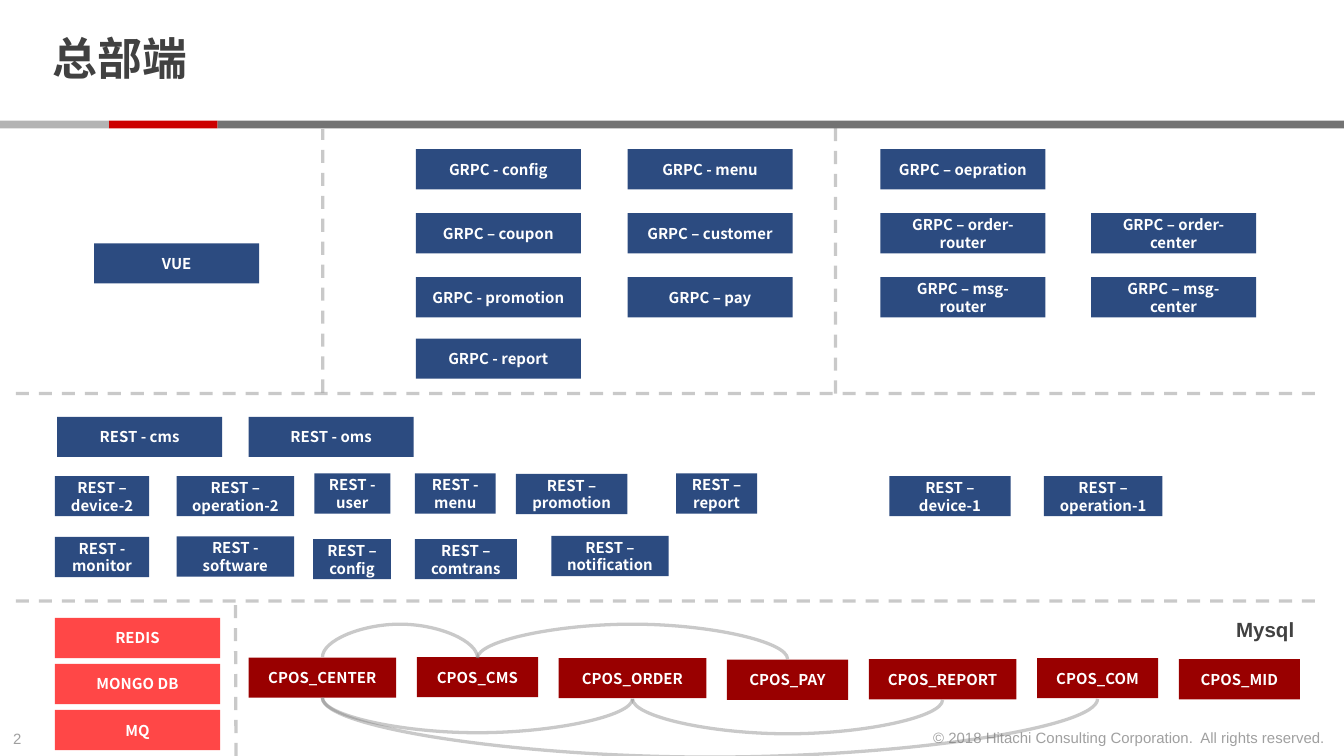
import dataclasses

import pptx
import pptx.dml.color
import pptx.enum.dml
import pptx.enum.shapes
import pptx.enum.text
import pptx.oxml.ns
import pptx.util
from lxml import etree

Cm = pptx.util.Cm
qn = pptx.oxml.ns.qn
Align = pptx.enum.text.PP_ALIGN
Connector = pptx.enum.shapes.MSO_CONNECTOR
RECTANGLE = pptx.enum.shapes.MSO_SHAPE.RECTANGLE


@dataclasses.dataclass(frozen=True)
class Theme:
    service: str = "2C4B80"
    middleware: str = "FF4747"
    database: str = "990000"
    dark_bar: str = "737373"
    red_bar: str = "CC0000"
    light_bar: str = "B3B3B3"
    line: str = "808080"
    ink: str = "414141"
    white: str = "FFFFFF"
    text_font: str = "Arial"
    box_font: str = "Noto Sans CJK SC"
    title_size: int = 24
    caption_size: int = 11
    small_size: int = 8
    line_width: float = 1.75
    line_opacity: int = 42
    footer_opacity: int = 50


theme = Theme()
color = pptx.dml.color.RGBColor.from_string


def write_text(shape, text, size, ink, font_name, bold, alignment):
    shape.text_frame.text = text
    paragraph = shape.text_frame.paragraphs[0]
    paragraph.alignment = alignment
    paragraph.font.size = pptx.util.Pt(size)
    paragraph.font.name = font_name
    paragraph.font.bold = bold
    paragraph.font.color.rgb = color(ink)
    return paragraph


def set_opacity(element, percent):
    for node in element.iter(qn("a:srgbClr")):
        etree.SubElement(node, qn("a:alpha")).set("val", str(percent * 1000))


presentation = pptx.Presentation()
presentation.slide_width = Cm(25.4)
presentation.slide_height = Cm(14.29)
slide = presentation.slides.add_slide(presentation.slide_layouts[5])
shapes = slide.shapes

for left, width, fill in [
    (4.11, 21.29, theme.dark_bar),
    (2.06, 2.05, theme.red_bar),
    (0, 2.06, theme.light_bar),
]:
    bar = shapes.add_shape(RECTANGLE, Cm(left), Cm(2.28), Cm(width), Cm(0.15))
    bar.shadow.inherit = False
    bar.fill.solid()
    bar.fill.fore_color.rgb = color(fill)
    bar.line.fill.background()

title = shapes.title
title.left, title.top, title.width, title.height = Cm(0.74), Cm(0.15), Cm(19.58), Cm(2.03)
title.text_frame.margin_top = title.text_frame.margin_bottom = 0
title.text_frame.vertical_anchor = pptx.enum.text.MSO_ANCHOR.MIDDLE
title.text_frame.auto_size = pptx.enum.text.MSO_AUTO_SIZE.NONE
heading = write_text(title, "总部端", theme.title_size, theme.ink, theme.text_font, True, Align.LEFT)
heading.line_spacing = 0.85

copyright_line = "© 2018 Hitachi Consulting Corporation.  All rights reserved."
for left, top, width, height, text, size, bold, alignment, opacity in [
    (0, 13.66, 0.86, 0.61, "2", theme.small_size, False, Align.LEFT, theme.footer_opacity),
    (17.27, 13.64, 8.03, 0.61, copyright_line, theme.small_size, False, Align.RIGHT, theme.footer_opacity),
    (23.11, 11.53, 1.63, 0.74, "Mysql", theme.caption_size, True, Align.LEFT, 100),
]:
    caption = shapes.add_textbox(Cm(left), Cm(top), Cm(width), Cm(height))
    caption.text_frame.word_wrap = False
    caption.text_frame.auto_size = pptx.enum.text.MSO_AUTO_SIZE.SHAPE_TO_FIT_TEXT
    paragraph = write_text(caption, text, size, theme.ink, theme.text_font, bold, alignment)
    if opacity < 100:
        set_opacity(paragraph._p, opacity)

wide = 3.12
boxes = [
    (1.78, 4.6, wide, "VUE", theme.service),
    (1.08, 7.88, wide, "REST - cms", theme.service),
    (4.7, 7.88, wide, "REST - oms", theme.service),
]

grpc_tops = [2.82, 4.03, 5.24, 6.4]
grpc_columns = [
    (7.86, ["GRPC - config", "GRPC – coupon", "GRPC - promotion", "GRPC - report"]),
    (11.86, ["GRPC - menu", "GRPC – customer", "GRPC – pay"]),
    (16.64, ["GRPC – oepration", "GRPC – order-router", "GRPC – msg-router"]),
    (20.62, [None, "GRPC – order-center", "GRPC – msg-center"]),
]
for left, names in grpc_columns:
    for top, name in zip(grpc_tops, names):
        if name:
            boxes.append((left, top, wide, name, theme.service))

for left, top, width, name in [
    (1.04, 9, 1.78, "REST – device-2"),
    (3.34, 9, 2.22, "REST – operation-2"),
    (5.94, 8.95, 1.44, "REST - user"),
    (7.84, 8.95, 1.53, "REST - menu"),
    (9.75, 8.96, 2.11, "REST – promotion"),
    (12.78, 8.95, 1.53, "REST – report"),
    (16.81, 9, 2.29, "REST – device-1"),
    (19.73, 9, 2.24, "REST – operation-1"),
    (1.04, 10.15, 1.78, "REST - monitor"),
    (3.34, 10.14, 2.22, "REST - software"),
    (5.92, 10.19, 1.47, "REST – config"),
    (7.84, 10.19, 1.93, "REST – comtrans"),
    (10.42, 10.13, 2.22, "REST – notification"),
]:
    boxes.append((left, top, width, name, theme.service))

for row, name in enumerate(["REDIS", "MONGO DB", "MQ"]):
    boxes.append((1.04, 11.68 + 0.87 * row, wide, name, theme.middleware))

database_left = 4.7
database_centers = {}
for name, top, width in [
    ("CPOS_CENTER", 12.43, 2.79),
    ("CPOS_CMS", 12.42, 2.29),
    ("CPOS_ORDER", 12.44, 2.79),
    ("CPOS_PAY", 12.47, 2.29),
    ("CPOS_REPORT", 12.46, 2.79),
    ("CPOS_COM", 12.44, 2.29),
    ("CPOS_MID", 12.46, 2.29),
]:
    boxes.append((database_left, top, width, name, theme.database))
    database_centers[name] = database_left + width / 2
    database_left += width + 0.39

for left, top, width, name, fill in boxes:
    box = shapes.add_shape(RECTANGLE, Cm(left), Cm(top), Cm(width), Cm(0.76))
    box.shadow.inherit = False
    box.fill.solid()
    box.fill.fore_color.rgb = color(fill)
    box.line.fill.background()
    write_text(box, name, theme.small_size, theme.white, theme.box_font, True, Align.CENTER)

connectors = []
for start_x, start_y, end_x, end_y in [
    (0.3, 7.44, 24.9, 7.44),
    (0.3, 11.36, 24.9, 11.36),
    (6.1, 7.42, 6.1, 2.44),
    (15.79, 7.44, 15.79, 2.42),
    (4.46, 14.29, 4.45, 11.36),
]:
    divider = shapes.add_connector(Connector.STRAIGHT, Cm(start_x), Cm(start_y), Cm(end_x), Cm(end_y))
    divider.line.dash_style = pptx.enum.dml.MSO_LINE.DASH
    connectors.append(divider)

arc_thickness = 0.02
for start, end, base, depth in [
    ("CPOS_ORDER", "CPOS_CENTER", 13.2, 0.64),
    ("CPOS_REPORT", "CPOS_ORDER", 13.22, 0.64),
    ("CPOS_CMS", "CPOS_CENTER", 12.43, -0.64),
    ("CPOS_PAY", "CPOS_CMS", 12.45, -0.66),
    ("CPOS_COM", "CPOS_CENTER", 13.2, 1.1),
]:
    middle = (database_centers[start] + database_centers[end]) / 2
    half_span = (database_centers[start] - database_centers[end]) / 2
    side = arc_thickness / 2 if depth > 0 else -arc_thickness / 2
    rise = half_span if depth > 0 else -half_span
    arc = shapes.add_connector(
        Connector.CURVE, Cm(middle + side), Cm(base - rise), Cm(middle - side), Cm(base + rise)
    )
    arc._element.spPr.find(qn("a:xfrm")).set("rot", str((90 if depth > 0 else 270) * 60000))
    guide = etree.SubElement(arc._element.spPr.find(qn("a:prstGeom")).find(qn("a:avLst")), qn("a:gd"))
    guide.set("name", "adj1")
    guide.set("fmla", f"val {round(-depth / arc_thickness * 100000)}")
    connectors.append(arc)

for connector in connectors:
    connector.line.color.rgb = color(theme.line)
    connector.line.width = pptx.util.Pt(theme.line_width)
    set_opacity(connector._element.spPr, theme.line_opacity)
    etree.SubElement(connector._element.spPr, qn("a:effectLst"))

presentation.save("out.pptx")
